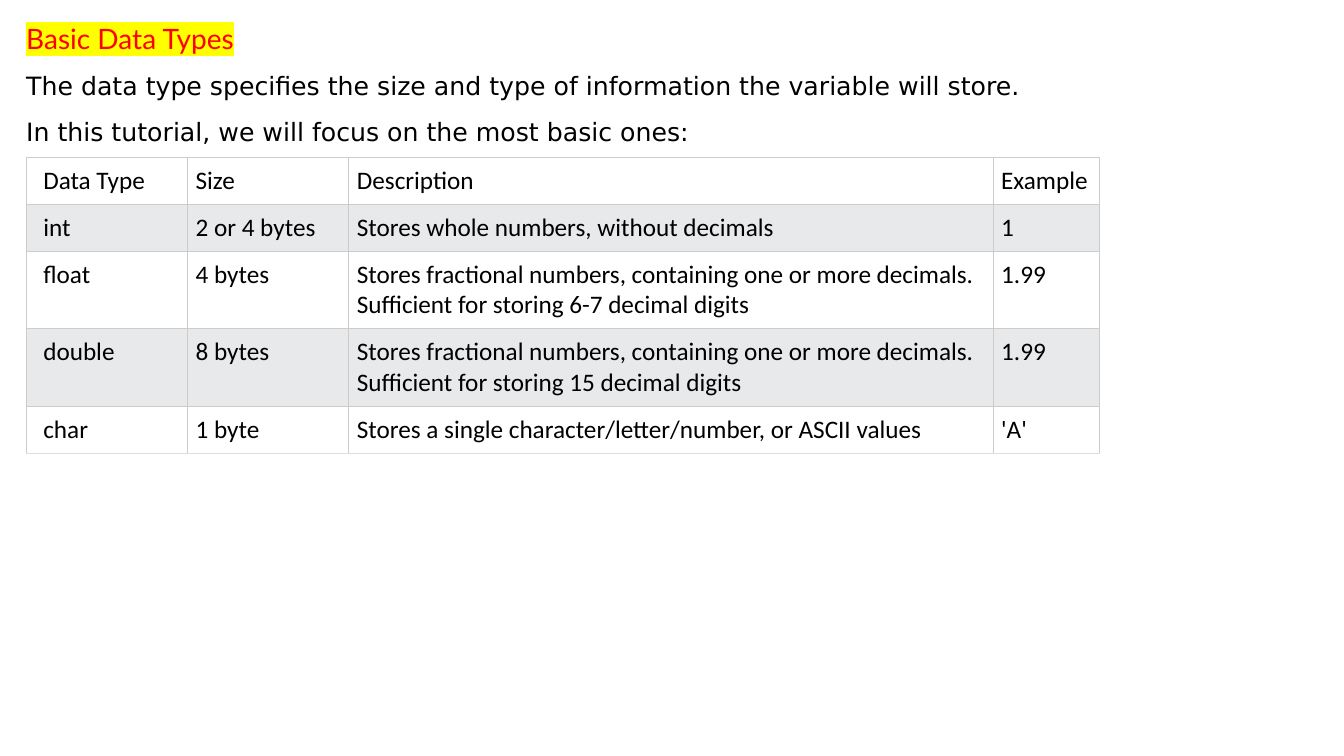
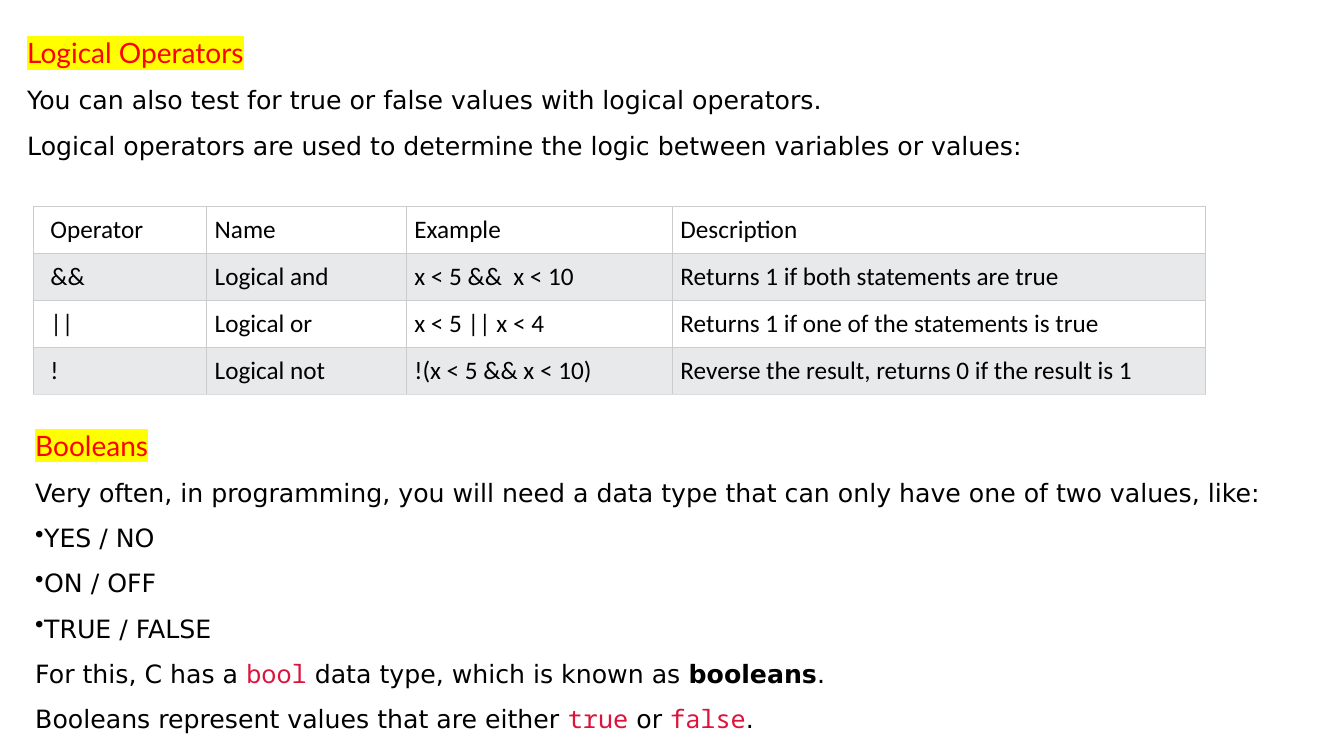
from dataclasses import dataclass

from lxml import etree
from pptx import Presentation
from pptx.dml.color import RGBColor
from pptx.enum import shapes as shape_enum
from pptx.enum import text as text_enum
from pptx.oxml import ns
from pptx.util import Inches, Pt


@dataclass(frozen=True)
class Theme:
    background: str = "FFFFFF"
    heading: str = "FF0000"
    highlight: str = "FFFF00"
    body: str = "000000"
    code: str = "DC143C"
    band: str = "E7E9EB"
    border: str = "CCCCCC"
    last_border: str = "DDDDDD"
    heading_font: str = "Lato"
    body_font: str = "DejaVu Sans"
    code_font: str = "Noto Sans Mono"
    table_font: str = "Calibri"
    heading_size: int = 20
    body_size: int = 18
    line_spacing: float = 1.5
    border_width: float = 0.75


TITLE_AND_CONTENT = 1
HEADING_HEIGHT = 0.5
INTRO_HEIGHT = 0.95
ROW_HEIGHT = 0.46


def add_color(parent, tag, color):
    """Append a child holding one RGB colour."""
    child = etree.SubElement(parent, ns.qn(tag))
    etree.SubElement(child, ns.qn("a:srgbClr")).set("val", color)


def set_fill(target, color):
    target.fill.solid()
    target.fill.fore_color.rgb = RGBColor.from_string(color)


class Deck:
    def __init__(self, theme):
        self.theme = theme
        self.presentation = Presentation()
        self.presentation.slide_width = Inches(13.33)
        self.presentation.slide_height = Inches(7.5)
        self.slide = None

    def add_slide(self):
        layout = self.presentation.slide_layouts[TITLE_AND_CONTENT]
        self.slide = self.presentation.slides.add_slide(layout)
        set_fill(self.slide.background, self.theme.background)

    def add_run(self, paragraph, content, style="body"):
        """Add a run styled as heading, body, bold, code or table."""
        theme = self.theme
        fonts = {"heading": theme.heading_font, "code": theme.code_font,
                 "table": theme.table_font}
        colors = {"heading": theme.heading, "code": theme.code}
        run = paragraph.add_run()
        run.text = content
        font = run.font
        font.size = Pt(theme.heading_size if style == "heading" else theme.body_size)
        font.bold = style == "bold"
        font.color.rgb = RGBColor.from_string(colors.get(style, theme.body))
        if style == "heading":
            add_color(run._r.get_or_add_rPr(), "a:highlight", theme.highlight)
        font.name = fonts.get(style, theme.body_font)

    def fill_frame(self, frame, lines, anchor, margins):
        """Write (bullet, runs) lines, each run being (text, style)."""
        frame.word_wrap = True
        frame.auto_size = text_enum.MSO_AUTO_SIZE.NONE
        frame.vertical_anchor = anchor
        frame.margin_left = frame.margin_right = Inches(margins[0])
        frame.margin_top = frame.margin_bottom = Inches(margins[1])
        for index, (bullet, runs) in enumerate(lines):
            paragraph = frame.add_paragraph() if index else frame.paragraphs[0]
            paragraph.alignment = text_enum.PP_ALIGN.LEFT
            paragraph.line_spacing = self.theme.line_spacing
            paragraph.space_before = paragraph.space_after = Pt(0)
            properties = paragraph._p.get_or_add_pPr()
            properties.set("marL", "0")
            properties.set("indent", "0")
            if bullet:
                etree.SubElement(properties, ns.qn("a:buChar")).set("char", "•")
            else:
                etree.SubElement(properties, ns.qn("a:buNone"))
            for content, style in runs:
                self.add_run(paragraph, content, style)

    def place(self, index, box, lines):
        """Move the placeholder at index to box and write its lines."""
        shape = self.slide.placeholders[index]
        shape.left, shape.top, shape.width, shape.height = map(Inches, box)
        self.fill_frame(shape.text_frame, lines, text_enum.MSO_ANCHOR.TOP, (0.1, 0.05))

    def add_intro(self, left, top, width, title, sentences):
        """Write the title with its sentences directly below."""
        self.place(0, (left, top, width, HEADING_HEIGHT + 0.1), [heading(title)])
        self.place(1, (left, top + HEADING_HEIGHT, width, INTRO_HEIGHT),
                   [line(sentence) for sentence in sentences])

    def add_panel(self, box, lines):
        """Add a plain rectangle with its lines centred vertically."""
        panel = self.slide.shapes.add_shape(
            shape_enum.MSO_SHAPE.RECTANGLE, *map(Inches, box))
        panel.shadow.inherit = False
        panel.line.fill.background()
        set_fill(panel, self.theme.background)
        self.fill_frame(panel.text_frame, lines, text_enum.MSO_ANCHOR.MIDDLE, (0, 0.1))

    def draw_borders(self, cell, is_last):
        properties = cell._tc.get_or_add_tcPr()
        for side in "LRTB":
            border = etree.SubElement(properties, ns.qn(f"a:ln{side}"))
            border.set("w", str(Pt(self.theme.border_width)))
            closing = is_last and side == "B"
            add_color(border, "a:solidFill",
                      self.theme.last_border if closing else self.theme.border)

    def add_table(self, left, top, widths, rows):
        frame = self.slide.shapes.add_table(
            len(rows), len(widths), Inches(left), Inches(top),
            Inches(sum(widths)), Inches(ROW_HEIGHT * len(rows)))
        table = frame.table
        table.first_row = table.horz_banding = False
        for column, width in zip(table.columns, widths):
            column.width = Inches(width)
        for row_index, row in enumerate(rows):
            for column_index, content in enumerate(row):
                cell = table.cell(row_index, column_index)
                cell.margin_left = Inches(0.08 if column_index else 0.17)
                cell.margin_right = cell.margin_top = cell.margin_bottom = Inches(0.08)
                self.draw_borders(cell, row_index == len(rows) - 1)
                set_fill(cell, self.theme.band if row_index % 2 else self.theme.background)
                self.add_run(cell.text_frame.paragraphs[0], content, "table")


def heading(content):
    return False, [(content, "heading")]


def line(content, bullet=False):
    return bullet, [(content, "body")]


def add_data_types(deck):
    deck.add_slide()
    deck.add_intro(0.16, 0, 12.83, "Basic Data Types", [
        "The data type specifies the size and type of information the variable will store.",
        "In this tutorial, we will focus on the most basic ones:",
    ])
    fractional = ("Stores fractional numbers, containing one or more decimals. "
                  "Sufficient for storing {} decimal digits")
    deck.add_table(0.26, 1.56, [1.6, 1.6, 6.39, 1.06], [
        ("Data Type", "Size", "Description", "Example"),
        ("int", "2 or 4 bytes", "Stores whole numbers, without decimals", "1"),
        ("float", "4 bytes", fractional.format("6-7"), "1.99"),
        ("double", "8 bytes", fractional.format("15"), "1.99"),
        ("char", "1 byte", "Stores a single character/letter/number, or ASCII values", "'A'"),
    ])


def add_logical_operators(deck):
    deck.add_slide()
    deck.add_intro(0.17, 0.14, 12.86, "Logical Operators", [
        "You can also test for true or false values with logical operators.",
        "Logical operators are used to determine the logic between variables or values:",
    ])
    deck.add_table(0.33, 2.05, [1.72, 1.98, 2.64, 5.29], [
        ("Operator", "Name", "Example", "Description"),
        ("&&", "Logical and", "x < 5 &&  x < 10", "Returns 1 if both statements are true"),
        ("||", "Logical or", "x < 5 || x < 4", "Returns 1 if one of the statements is true"),
        ("!", "Logical not", "!(x < 5 && x < 10)",
         "Reverse the result, returns 0 if the result is 1"),
    ])
    choices = ["YES / NO", "ON / OFF", "TRUE / FALSE"]
    deck.add_panel((0.35, 3.99, 12.86, 3.38), [
        heading("Booleans"),
        line("Very often, in programming, you will need a data type "
             "that can only have one of two values, like:"),
        *[line(choice, bullet=True) for choice in choices],
        (False, [("For this, C has a ", "body"), ("bool", "code"),
                 (" data type, which is known as ", "body"),
                 ("booleans", "bold"), (".", "body")]),
        (False, [("Booleans represent values that are either ", "body"),
                 ("true", "code"), (" or ", "body"), ("false", "code"), (".", "body")]),
    ])


def main():
    deck = Deck(Theme())
    add_data_types(deck)
    add_logical_operators(deck)
    deck.presentation.save("out.pptx")


if __name__ == "__main__":
    main()
